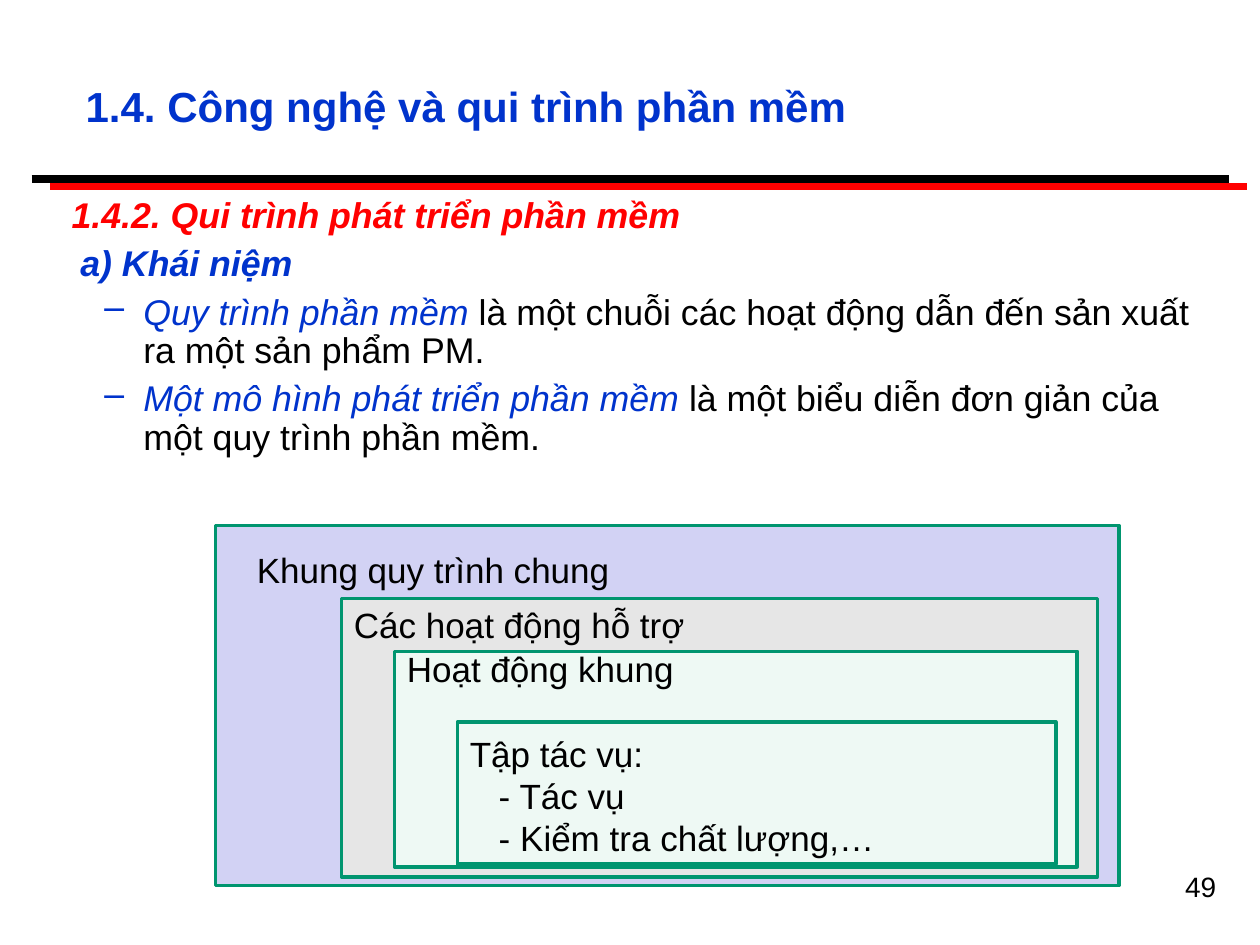
from lxml import etree
from pptx import Presentation
from pptx.dml.color import RGBColor
from pptx.enum import shapes, text
from pptx.oxml.ns import qn
from pptx.util import Inches, Pt

COLORS = {
    "black": "000000", "red": "FF0000", "blue": "0033CC", "green": "00956F",
    "lavender": "D2D2F4", "gray": "E6E6E6", "mint": "EEF9F4",
}


def rgb(name):
    return RGBColor.from_string(COLORS[name])


class SlideBuilder:
    font = "Arial"
    border = 2
    rule_width = 4.5

    def __init__(self, slide):
        self.slide = slide

    def run(self, p, content, color="black", **style):
        r = p.add_run()
        r.text = content
        r.font.name = self.font
        r.font.color.rgb = rgb(color)
        for name, value in style.items():
            setattr(r.font, name, value)

    def indent(self, p, left, hanging=0, bullet=None):
        """Set the paragraph indents, with an optional blue bullet character."""
        pPr = p._p.get_or_add_pPr()
        pPr.set("marL", str(Inches(left)))
        pPr.set("indent", str(Inches(-hanging)))
        if bullet:
            clr = etree.SubElement(pPr, qn("a:buClr"))
            etree.SubElement(clr, qn("a:srgbClr"), val=COLORS["blue"])
            etree.SubElement(pPr, qn("a:buChar"), char=bullet)

    def title(self, content, box):
        sp = self.slide.shapes.title
        sp.left, sp.top, sp.width, sp.height = map(Inches, box)
        tf = sp.text_frame
        tf.vertical_anchor = text.MSO_ANCHOR.MIDDLE
        p = tf.paragraphs[0]
        p.alignment = text.PP_ALIGN.LEFT
        self.run(p, content, "blue", size=Pt(24), bold=True)

    def rule(self, left, y, width, color):
        line = self.slide.shapes.add_connector(
            shapes.MSO_CONNECTOR.STRAIGHT,
            Inches(left), Inches(y), Inches(left + width), Inches(y))
        line.line.color.rgb = rgb(color)
        line.line.width = Pt(self.rule_width)
        etree.SubElement(line._element.spPr, qn("a:effectLst"))

    def textbox(self, box):
        tf = self.slide.shapes.add_textbox(*map(Inches, box)).text_frame
        tf.word_wrap = True
        return tf

    def body(self, box, paragraphs):
        """Add paragraphs given as (indent settings, list of runs)."""
        tf = self.textbox(box)
        for i, (indents, runs) in enumerate(paragraphs):
            p = tf.add_paragraph() if i else tf.paragraphs[0]
            p.line_spacing = 0.9
            p.space_before = Pt(5.5 if i else 0)
            self.indent(p, **indents)
            for content, color, style in runs:
                self.run(p, content, color, size=Pt(20.4), **style)

    def page_number(self, content, box):
        p = self.textbox(box).paragraphs[0]
        p.alignment = text.PP_ALIGN.RIGHT
        self.run(p, content, size=Pt(16))

    def frame(self, box, fill, lines, inset_top):
        """Add a bordered box; lines holds (text, left indent) pairs."""
        sp = self.slide.shapes.add_shape(
            shapes.MSO_SHAPE.RECTANGLE, *map(Inches, box))
        sp.shadow.inherit = False
        sp.fill.solid()
        sp.fill.fore_color.rgb = rgb(fill)
        sp.line.color.rgb = rgb("green")
        sp.line.width = Pt(self.border)
        tf = sp.text_frame
        tf.vertical_anchor = text.MSO_ANCHOR.TOP
        tf.margin_top = Inches(inset_top)
        for i, (content, left) in enumerate(lines):
            p = tf.add_paragraph() if i else tf.paragraphs[0]
            p.alignment = text.PP_ALIGN.LEFT
            self.indent(p, left)
            self.run(p, content, size=Pt(20))


def main():
    prs = Presentation()
    prs.slide_width, prs.slide_height = Inches(10), Inches(7.5)
    s = SlideBuilder(prs.slides.add_slide(prs.slide_layouts[5]))

    s.rule(0.25, 1.42, 9.5, "black")
    s.rule(0.4, 1.48, 9.5, "red")
    s.page_number("49", (9, 6.85, 0.75, 0.52))
    s.title("1.4. Công nghệ và qui trình phần mềm", (0.58, 0.5, 9.08, 0.67))

    heading = {"bold": True, "italic": True}
    term = {"italic": True}
    item = {"left": 0.81, "hanging": 0.31, "bullet": "–"}
    s.body((0.23, 1.52, 9.33, 2.48), [
        ({"left": 0.24},
         [("1.4.2. Qui trình phát triển phần mềm", "red", heading)]),
        ({"left": 0.31}, [("a) Khái niệm", "blue", heading)]),
        (item, [("Quy trình phần mềm ", "blue", term),
                ("là một chuỗi các hoạt động dẫn đến sản xuất ra một "
                 "sản phẩm PM.", "black", {})]),
        (item, [("Một mô hình phát triển phần mềm ", "blue", term),
                ("là một biểu diễn đơn giản của một quy trình phần mềm.",
                 "black", {})]),
    ])

    step = 0.23
    frames = [
        ((1.71, 4.17, 7.17, 2.86), "lavender",
         [("Khung quy trình chung", step)], 0.18),
        ((2.71, 4.75, 6, 2.21), "gray", [("Các hoạt động hỗ trợ", 0)], 0.04),
        ((3.13, 5.17, 5.42, 1.71), "mint", [("Hoạt động khung", 0)], -0.03),
        ((3.63, 5.73, 4.75, 1.13), "mint",
         [("Tập tác vụ:", 0), ("- Tác vụ", step),
          ("- Kiểm tra chất lượng,…", step)], 0.08),
    ]
    for frame in frames:
        s.frame(*frame)

    prs.save("out.pptx")


if __name__ == "__main__":
    main()
